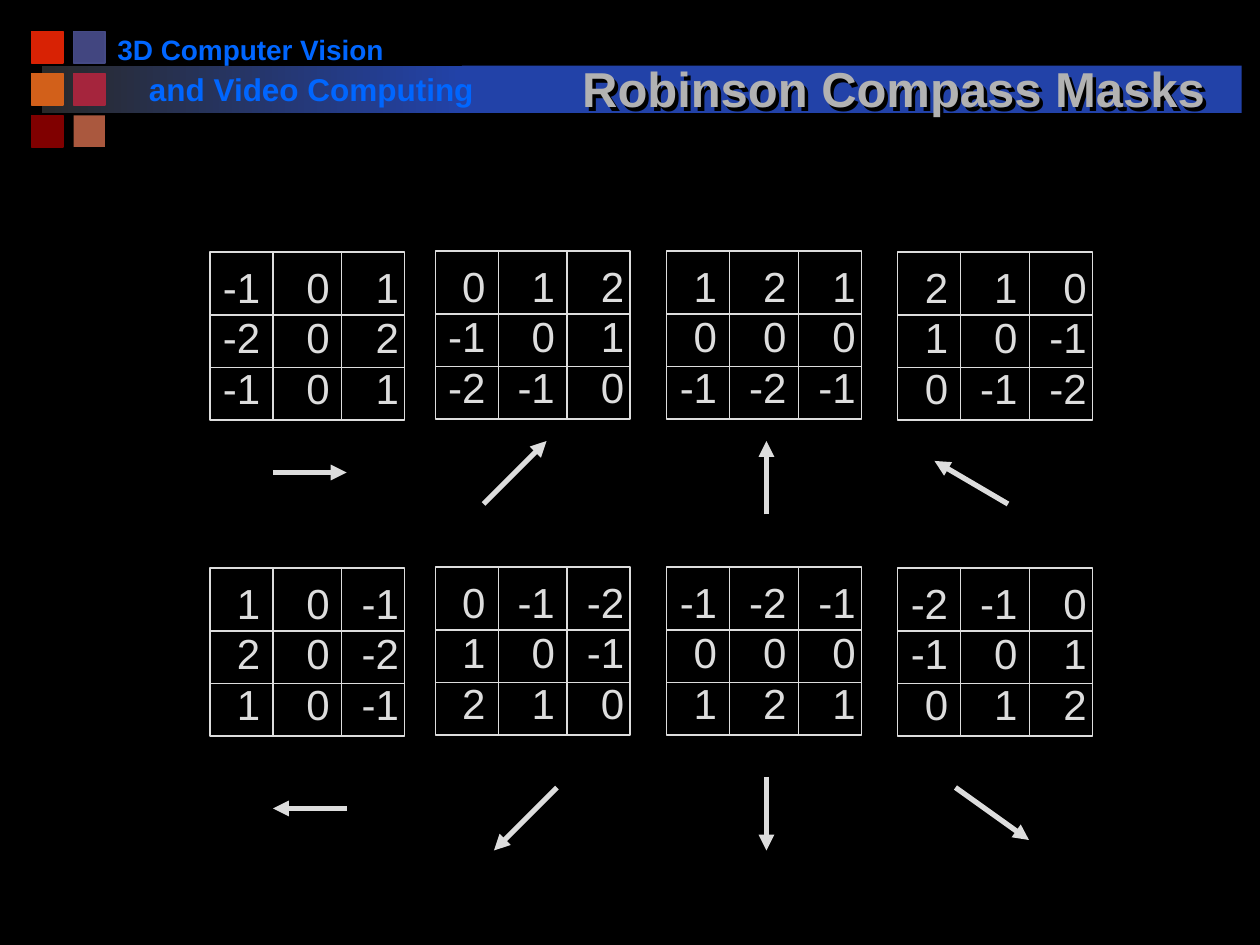
from lxml.etree import SubElement
from pptx import Presentation
from pptx.dml.color import RGBColor
from pptx.enum.shapes import MSO_CONNECTOR, MSO_SHAPE
from pptx.enum.text import MSO_ANCHOR, PP_ALIGN
from pptx.oxml.ns import qn
from pptx.util import Inches, Pt

COLORS = {
    "background": "000000", "ink": "DDDDDD", "title": "B2B2B2", "course": "0066FF",
    "bar": "2242A8", "bar_start": "292929", "shadow": "000000",
    "red": "D82204", "violet": "424680", "violet_edge": "454A85", "orange": "D2601A",
    "crimson": "A5253D", "maroon": "800000", "clay": "AA583E",
}
FONT = "Arial"

# The slide is a grid of 120 columns by 90 rows.
SLIDE_COLUMNS, SLIDE_ROWS = 120, 90
CELL = Inches(10) / SLIDE_COLUMNS

MASK_LEFTS = (20, 41.45, 63.5, 85.5)
MASK_TOPS = (24, 54.1)
MASK_SHIFTS = (0, -0.1, -0.1, 0)
MASK_WIDTH, MASK_HEIGHT = 18.55, 16
MASK_COLUMN_LINES = (6, 12.55)
MASK_ROW_LINES = (6, 11)
NUMBER_STOPS = (4.2, 10.8, 17.4)

# Each mask: its three rows, then arrow start and end measured from its top left.
MASKS = (
    (
        (("-1 0 1", "-2 0 2", "-1 0 1"), (6, 21), (13, 21)),
        (("0 1 2", "-1 0 1", "-2 -1 0"), (4.6, 24.1), (10.6, 18.1)),
        (("1 2 1", "0 0 0", "-1 -2 -1"), (9.5, 25.1), (9.5, 18.1)),
        (("2 1 0", "1 0 -1", "0 -1 -2"), (10.5, 24), (3.5, 19.9)),
    ),
    (
        (("1 0 -1", "2 0 -2", "1 0 -1"), (13, 22.9), (6, 22.9)),
        (("0 -1 -2", "1 0 -1", "2 1 0"), (11.6, 21), (5.6, 27)),
        (("-1 -2 -1", "0 0 0", "1 2 1"), (9.5, 20), (9.5, 27)),
        (("-2 -1 0", "-1 0 1", "0 1 2"), (5.5, 20.9), (12.5, 25.9)),
    ),
)


def grid(*lengths):
    return [round(length * CELL) for length in lengths]


def color(name):
    return RGBColor.from_string(COLORS[name])


def set_values(target, values):
    for name, value in values.items():
        setattr(target, name, value)


def write(para, text, size, ink, bold=False):
    span = para.add_run()
    span.text = text
    set_values(span.font, {"name": FONT, "size": Pt(size), "bold": bold})
    span.font.color.rgb = color(ink)


def add_block(page, box, fill=None, edge=None, edge_width=1):
    block = page.shapes.add_shape(MSO_SHAPE.RECTANGLE, *grid(*box))
    block.shadow.inherit = False
    if fill:
        block.fill.solid()
        block.fill.fore_color.rgb = color(fill)
    else:
        block.fill.background()
    if edge:
        block.line.color.rgb = color(edge)
        block.line.width = Pt(edge_width)
    else:
        block.line.fill.background()
    return block


def add_line(page, start, end, width):
    line = page.shapes.add_connector(MSO_CONNECTOR.STRAIGHT, *grid(*start, *end))
    line.line.color.rgb = color("ink")
    line.line.width = Pt(width)
    SubElement(line._element.spPr, qn("a:effectLst"))
    return line


def add_label(page, box, text, size, ink, **frame_values):
    label = page.shapes.add_textbox(*grid(*box))
    set_values(label.text_frame, {"word_wrap": True, **frame_values})
    write(label.text_frame.paragraphs[0], text, size, ink, bold=True)
    return label


def add_bar(page, left, top, width, height):
    """Draw the title bar: a fading part, then a solid part."""
    fade_width = width * 0.35
    fade = add_block(page, (left, top, fade_width, height), "bar")
    fade.fill.gradient()
    fade.fill.gradient_angle = 0
    for stop, name, position in zip(fade.fill.gradient_stops, ("bar_start", "bar"), (0, 1)):
        stop.color.rgb = color(name)
        stop.position = position
    add_block(page, (left + fade_width, top, width - fade_width, height), "bar")


def add_squares(page, left, top, side, pitch):
    rows = (
        (("red", "red"), ("violet", "violet_edge")),
        (("orange", "orange"), ("crimson", "crimson")),
        (("maroon", "maroon"), ("clay", None)),
    )
    for row, squares in enumerate(rows):
        for column, (fill, edge) in enumerate(squares):
            box = (left + column * pitch, top + row * pitch, side, side)
            add_block(page, box, fill, edge)


def add_title(page, box):
    title = add_label(page, box, "Robinson Compass Masks", 28, "title",
                      vertical_anchor=MSO_ANCHOR.BOTTOM)
    title.text_frame.paragraphs[0].alignment = PP_ALIGN.CENTER
    effects = SubElement(title._element.spPr, qn("a:effectLst"))
    shadow = SubElement(effects, qn("a:outerShdw"), dist=str(Pt(2.83)), dir="2700000")
    SubElement(shadow, qn("a:srgbClr"), val=COLORS["shadow"])


def add_header(page):
    add_bar(page, 4, 6.25, 114.25, 4.5)
    add_squares(page, 3, 3, 3, 4)
    add_label(page, (10, 2.5, 27.9, 4.4), "3D Computer Vision", 16, "course", word_wrap=False)
    add_label(page, (13, 6.1, 34, 4.8), "and Video Computing", 18, "course")
    add_title(page, (50.9, 3.8, 68.4, 8))


def add_number_stops(para):
    stops = SubElement(para._p.get_or_add_pPr(), qn("a:tabLst"))
    for position in grid(*NUMBER_STOPS):
        SubElement(stops, qn("a:tab"), pos=str(position), algn="r")


def add_numbers(page, left, top, rows):
    """Write rows of numbers, each right-aligned at a tab stop."""
    frame = page.shapes.add_textbox(*grid(left, top, 20.4, 15.6)).text_frame
    set_values(frame, {"word_wrap": True, "margin_left": Inches(0.05), "margin_right": 0})
    for index, row in enumerate(rows):
        para = frame.add_paragraph() if index else frame.paragraphs[0]
        para.line_spacing = Pt(29)
        add_number_stops(para)
        write(para, "".join(f"\t{number}" for number in row.split()), 24, "ink")


def add_mask(page, left, top, rows):
    right, bottom = left + MASK_WIDTH, top + MASK_HEIGHT
    add_numbers(page, left, top + 0.25, rows)
    add_block(page, (left, top, MASK_WIDTH, MASK_HEIGHT), edge="ink", edge_width=0.75)
    for offset in MASK_ROW_LINES:
        add_line(page, (left, top + offset), (right, top + offset), 0.75)
    for offset in MASK_COLUMN_LINES:
        add_line(page, (left + offset, top), (left + offset, bottom), 0.75)


def add_arrow(page, left, top, start, end):
    arrow = add_line(page, (left + start[0], top + start[1]), (left + end[0], top + end[1]), 3)
    SubElement(arrow.line._get_or_add_ln(), qn("a:tailEnd"), type="triangle")


def add_masks(page):
    for top, masks in zip(MASK_TOPS, MASKS):
        for left, shift, (rows, start, end) in zip(MASK_LEFTS, MASK_SHIFTS, masks):
            add_mask(page, left, top + shift, rows)
            add_arrow(page, left, top + shift, start, end)


def main():
    deck = Presentation()
    set_values(deck, {"slide_width": grid(SLIDE_COLUMNS)[0], "slide_height": grid(SLIDE_ROWS)[0]})
    page = deck.slides.add_slide(deck.slide_layouts[6])
    page.background.fill.solid()
    page.background.fill.fore_color.rgb = color("background")
    add_header(page)
    add_masks(page)
    deck.save("out.pptx")


if __name__ == "__main__":
    main()
